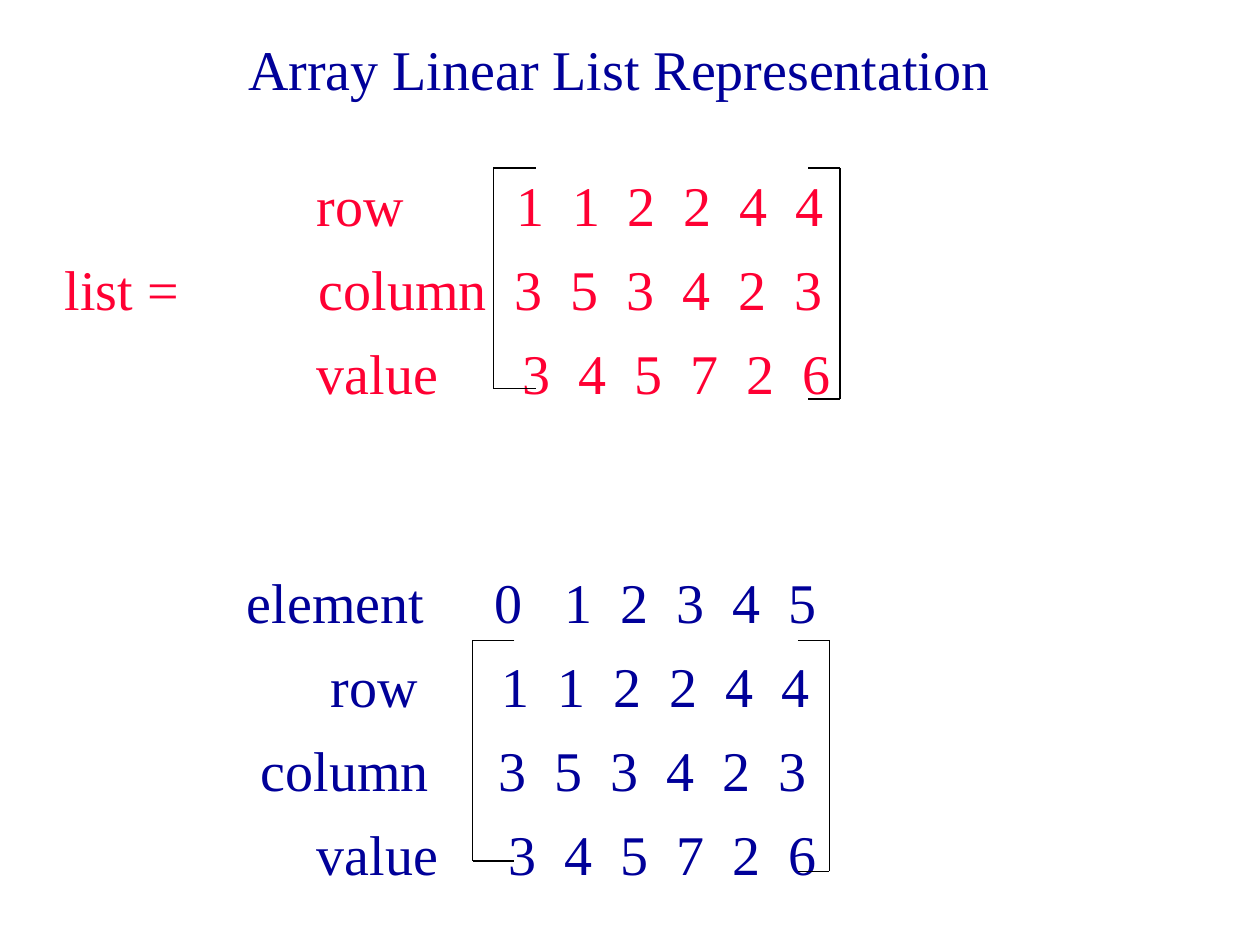
from dataclasses import dataclass
from itertools import pairwise

from lxml.etree import SubElement
from pptx import Presentation
from pptx.dml.color import RGBColor
from pptx.enum.shapes import MSO_CONNECTOR
from pptx.enum.text import MSO_ANCHOR, PP_ALIGN
from pptx.oxml.ns import qn
from pptx.util import Pt

COLORS = {"navy": "000099", "red": "FF0033", "black": "000000"}
FONT = "Times New Roman"
FONT_SIZE = 32
DIGIT_PITCH = 32
ROW_SPACING = 9.6


@dataclass
class ArrayRow:
    label: str
    label_x: float
    values: str
    values_x: float
    prefix: str = ""
    first_gap: float = DIGIT_PITCH

    def tab_stops(self) -> list[float]:
        second_x = self.values_x + self.first_gap
        rest = [second_x + DIGIT_PITCH * i for i in range(len(self.values) - 1)]
        return [self.label_x, self.values_x, *rest]


@dataclass
class ArrayBlock:
    top: float
    height: float
    color: str
    rows: list[ArrayRow]


@dataclass
class Bracket:
    tip_x: float
    spine_x: float
    top: float
    height: float


BLOCKS = [
    ArrayBlock(93.6, 140, "red", [
        ArrayRow("row", 144, "112244", 257.8),
        ArrayRow("column", 145.2, "353423", 257.2, prefix="list ="),
        ArrayRow("value", 144, "345726", 261.3),
    ]),
    ArrayBlock(320.5, 186, "navy", [
        ArrayRow("element", 104, "012345", 245.3, first_gap=40),
        ArrayRow("row", 152, "112244", 249.8),
        ArrayRow("column", 112, "353423", 248),
        ArrayRow("value", 144, "345726", 253.3),
    ]),
]

BRACKETS = [
    Bracket(306, 282, 96, 126),
    Bracket(462, 480, 96, 132),
    Bracket(294, 270, 366, 126),
    Bracket(456, 474, 366, 132),
]


def color(name: str) -> RGBColor:
    return RGBColor.from_string(COLORS[name])


def set_font(paragraph, color_name: str) -> None:
    paragraph.font.name = FONT
    paragraph.font.size = Pt(FONT_SIZE)
    paragraph.font.color.rgb = color(color_name)


def set_tabs(paragraph, stops: list[float]) -> None:
    tab_list = SubElement(paragraph._p.get_or_add_pPr(), qn("a:tabLst"))
    for stop in stops:
        SubElement(tab_list, qn("a:tab"), pos=str(int(Pt(stop))), algn="l")


def draw_block(slide, block: ArrayBlock) -> None:
    frame = slide.shapes.add_textbox(
        Pt(30), Pt(block.top), Pt(520), Pt(block.height)).text_frame
    frame.word_wrap = True
    for index, row in enumerate(block.rows):
        paragraph = frame.paragraphs[0] if index == 0 else frame.add_paragraph()
        paragraph.text = "\t".join([row.prefix, row.label, *row.values])
        if index:
            paragraph.space_before = Pt(ROW_SPACING)
        set_tabs(paragraph, row.tab_stops())
        set_font(paragraph, block.color)


def draw_bracket(slide, bracket: Bracket) -> None:
    bottom = bracket.top + bracket.height
    corners = [(bracket.tip_x, bracket.top), (bracket.spine_x, bracket.top),
               (bracket.spine_x, bottom), (bracket.tip_x, bottom)]
    for (x1, y1), (x2, y2) in pairwise(corners):
        edge = slide.shapes.add_connector(
            MSO_CONNECTOR.STRAIGHT, Pt(x1), Pt(y1), Pt(x2), Pt(y2))
        edge.line.color.rgb = color("black")
        edge.line.width = Pt(1)
        SubElement(edge._element.spPr, qn("a:effectLst"))


def main() -> None:
    presentation = Presentation()
    presentation.slide_width, presentation.slide_height = Pt(720), Pt(540)
    slide = presentation.slides.add_slide(presentation.slide_layouts[5])

    # Title
    title = slide.shapes.title
    title.left, title.top, title.width, title.height = Pt(48), Pt(0), Pt(612), Pt(78)
    title.text_frame.text = "Array Linear List Representation"
    title.text_frame.vertical_anchor = MSO_ANCHOR.MIDDLE
    heading = title.text_frame.paragraphs[0]
    heading.alignment = PP_ALIGN.CENTER
    set_font(heading, "navy")

    # Arrays and the brackets around them
    for block in BLOCKS:
        draw_block(slide, block)
    for bracket in BRACKETS:
        draw_bracket(slide, bracket)

    presentation.save("out.pptx")


if __name__ == "__main__":
    main()
